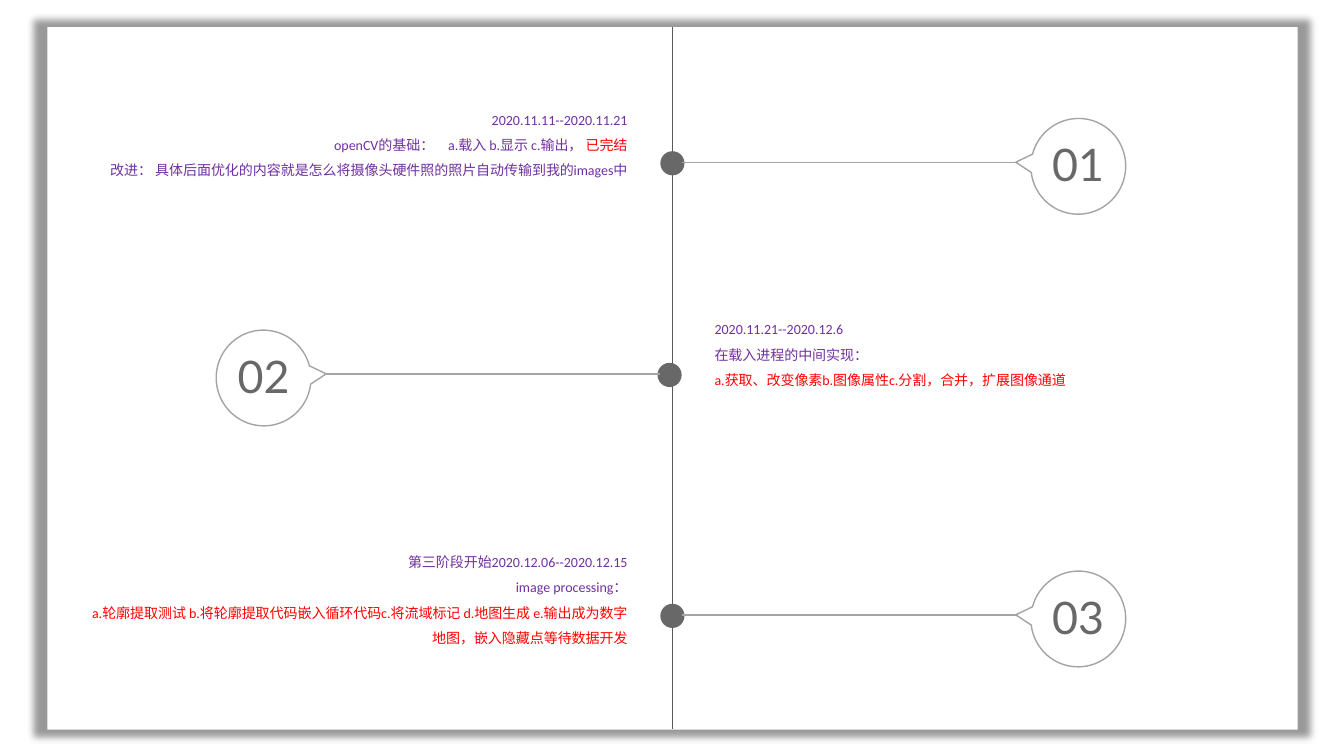
from dataclasses import dataclass
from pptx import Presentation
from pptx.dml.color import RGBColor
from pptx.enum.shapes import MSO_CONNECTOR, MSO_SHAPE
from pptx.enum.text import MSO_ANCHOR, PP_ALIGN
from pptx.oxml import parse_xml
from pptx.oxml.ns import nsdecls
from pptx.util import Inches, Pt

WIDE, HIGH = Inches(13.33), Inches(7.5)
MIRROR = 99.85  # sum of matching left and right columns


@dataclass(frozen=True)
class Theme:
    paper: str = "FFFFFF"
    spine: str = "595959"
    dark: str = "686868"
    rule: str = "A4A4A4"
    plan: str = "7030A0"
    done: str = "FF0000"
    body: str = "Calibri"
    digit: str = "Lato"
    small: int = 10
    large: int = 32


THEME = Theme()
PLAN, DONE = THEME.plan, THEME.done

# Number, dot row, note row, note height, note lines
STAGES = [
    ("01", 20, 12.93, 11.47, [
        [("2020.11.11--2020.11.21", PLAN)],
        [("openCV的基础：　a.载入 b.显示 c.输出， ", PLAN), ("已完结", DONE)],
        [("改进： 具体后面优化的内容就是怎么将摄像头硬件照的照片自动传输到我的images中", PLAN)],
    ]),
    ("02", 48, 40.67, 11.47, [
        [("2020.11.21--2020.12.6", PLAN)],
        [("在载入进程的中间实现：", PLAN)],
        [("a.获取、改变像素b.图像属性c.分割，合并，扩展图像通道", DONE)],
    ]),
    ("03", 79.87, 71.47, 14.8, [
        [("第三阶段开始2020.12.06--2020.12.15", PLAN)],
        [("image processing：", PLAN)],
        [("a.轮廓提取测试 b.将轮廓提取代码嵌入循环代码c.将流域标记 "
          "d.地图生成 e.输出成为数字地图，嵌入隐藏点等待数据开发", DONE)],
    ]),
]


def grid(col, row):
    """Turn hundredths of the slide into lengths."""
    return round(WIDE * col / 100), round(HIGH * row / 100)


def flip(col, width, left):
    return MIRROR - col - width if left else col


def add_shape(slide, kind, col, row, width, height, fill=None, line=None):
    shape = slide.shapes.add_shape(kind, *grid(col, row), *grid(width, height))
    shape.shadow.inherit = False
    if fill:
        shape.fill.solid()
        shape.fill.fore_color.rgb = RGBColor.from_string(fill)
    else:
        shape.fill.background()
    if line:
        shape.line.color.rgb = RGBColor.from_string(line)
        shape.line.width = Pt(1)
    else:
        shape.line.fill.background()
    return shape


def add_line(slide, start, end, color, width):
    line = slide.shapes.add_connector(
        MSO_CONNECTOR.STRAIGHT, *grid(*start), *grid(*end))
    line.line.color.rgb = RGBColor.from_string(color)
    line.line.width = Pt(width)
    line._element.spPr.append(parse_xml(f"<a:effectLst {nsdecls('a')}/>"))


def add_text(slide, place, size, lines, font, points, align, space):
    box = slide.shapes.add_textbox(*grid(*place), *grid(*size))
    frame = box.text_frame
    frame.word_wrap = True
    frame.vertical_anchor = MSO_ANCHOR.TOP
    for index, parts in enumerate(lines):
        para = frame.add_paragraph() if index else frame.paragraphs[0]
        para.alignment = align
        para.line_spacing = space
        for text, color in parts:
            run = para.add_run()
            run.text = text
            run.font.name = font
            run.font.size = Pt(points)
            run.font.color.rgb = RGBColor.from_string(color)


def add_panel(slide):
    panel = add_shape(slide, MSO_SHAPE.RECTANGLE, 3.53, 3.6, 93.02, 92.93,
                      THEME.paper)
    # Soft shadow, slightly larger than the panel
    glow = panel._element.spPr.find(
        "{http://schemas.openxmlformats.org/drawingml/2006/main}effectLst")
    glow.append(parse_xml(
        f'<a:outerShdw {nsdecls("a")} blurRad="63500" sx="102000" sy="102000" '
        'algn="ctr" rotWithShape="0"><a:srgbClr val="000000">'
        '<a:alpha val="40000"/></a:srgbClr></a:outerShdw>'))


def add_stage(slide, stage, left):
    number, row, top, height, lines = stage
    # Dot on the spine
    add_shape(slide, MSO_SHAPE.OVAL, flip(49.13, 1.8, left), row, 1.8, 3.2,
              THEME.dark)
    # Numbered callout, pointing at the spine
    bubble = add_shape(slide, MSO_SHAPE.OVAL_CALLOUT, flip(76.67, 7.13, left),
                       row - 4.27, 7.13, 12.53, line=THEME.rule)
    bubble.adjustments[0], bubble.adjustments[1] = -0.113, 0.652
    bubble.rotation = 256.3 if left else 103.7
    if not left:
        bubble._element.spPr.xfrm.set("flipH", "1")
    add_text(slide, (flip(76.29, 7.88, left), row), (7.88, 8),
             [[(number, THEME.dark)]], THEME.digit, THEME.large,
             PP_ALIGN.CENTER, 0.6)
    # Link from dot to callout
    add_line(slide, (flip(50.71, 0, left), row + 1.47),
             (flip(75.77, 0, left), row + 1.47), THEME.rule, 1)
    # Note on the other side
    add_text(slide, (flip(5.93, 41.49, left), top), (41.49, height), lines,
             THEME.body, THEME.small,
             PP_ALIGN.LEFT if left else PP_ALIGN.RIGHT, 1.5)


def main():
    deck = Presentation()
    deck.slide_width, deck.slide_height = WIDE, HIGH
    slide = deck.slides.add_slide(deck.slide_layouts[6])
    add_panel(slide)
    add_line(slide, (50.04, 3.6), (50.04, 96.4), THEME.spine, 0.5)
    # Callouts alternate between right and left
    for index, stage in enumerate(STAGES):
        add_stage(slide, stage, index % 2 == 1)
    deck.save("out.pptx")


if __name__ == "__main__":
    main()
